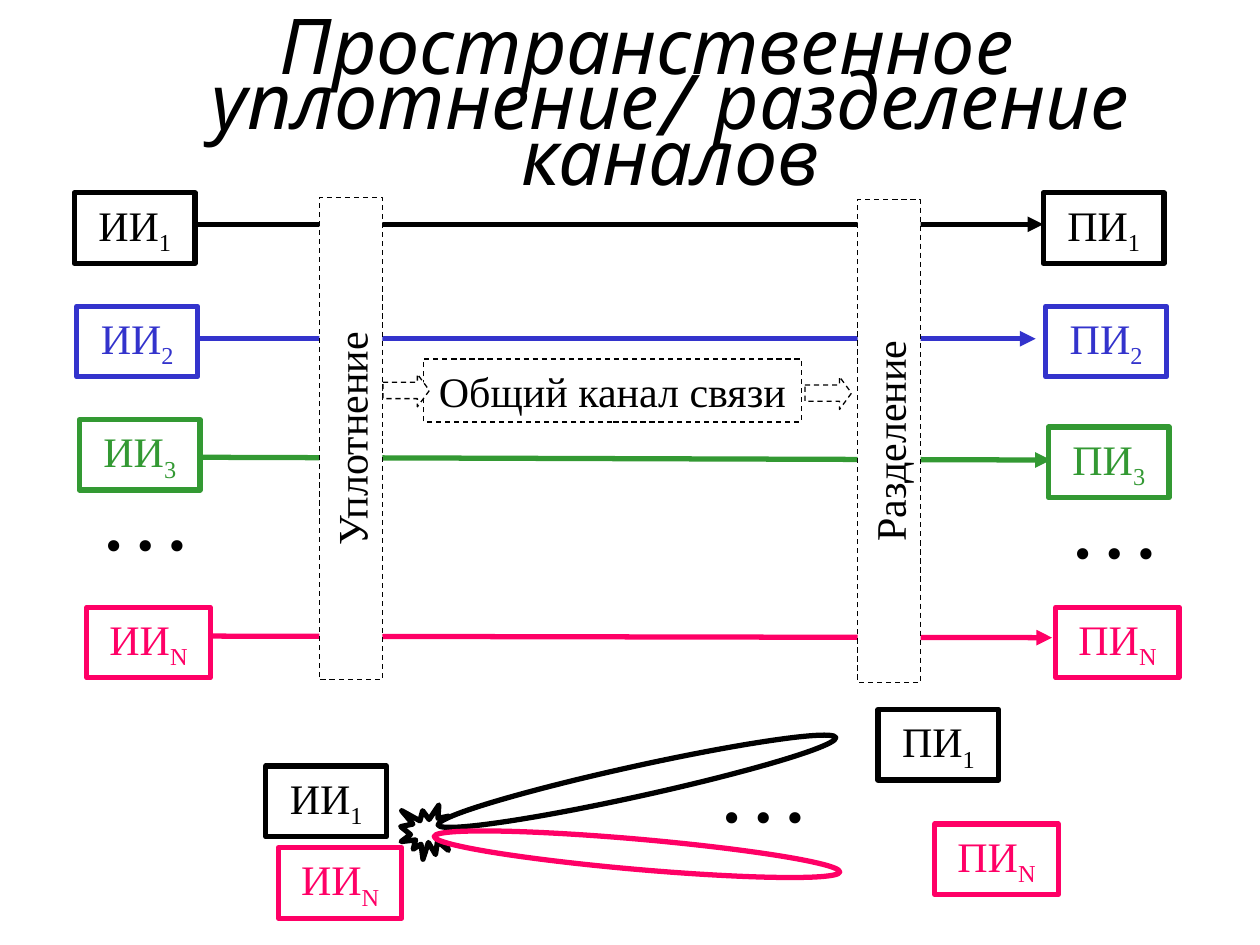
from dataclasses import dataclass

from lxml import etree
from pptx import Presentation
from pptx import util as u
from pptx.dml.color import RGBColor
from pptx.enum import dml, shapes, text
from pptx.oxml.ns import qn


@dataclass(frozen=True)
class Theme:
    black: str = "000000"
    blue: str = "3333CC"
    green: str = "339933"
    pink: str = "FF0066"
    white: str = "FFFFFF"
    title_font: str = "Cabin"
    body_font: str = "Times New Roman"
    title_size: float = 44
    body_size: float = 24
    dots_size: float = 54
    thick: float = 3
    thin: float = 0.75


class ChannelSlide:
    """Draws the parts of a channel diagram on one slide in one theme."""

    def __init__(self, slide, theme):
        self.items = slide.shapes
        self.theme = theme

    def figure(self, preset, x, y, width, height, color=None, fill=None, dashed=False, angle=0):
        figure = self.items.add_shape(preset, u.Pt(x), u.Pt(y), u.Pt(width), u.Pt(height))
        figure.shadow.inherit = False
        figure.rotation = angle
        if fill:
            figure.fill.solid()
            figure.fill.fore_color.rgb = RGBColor.from_string(fill)
        else:
            figure.fill.background()
        figure.line.color.rgb = RGBColor.from_string(color or self.theme.black)
        figure.line.width = u.Pt(self.theme.thin if dashed else self.theme.thick)
        if dashed:
            figure.line.dash_style = dml.MSO_LINE.DASH
        return figure

    def label(self, holder, wording, size, color=None, font=None, subscript=""):
        frame = holder.text_frame
        frame.word_wrap = True
        frame.vertical_anchor = text.MSO_ANCHOR.TOP
        paragraph = frame.paragraphs[0]
        paragraph.text = wording
        paragraph.alignment = text.PP_ALIGN.CENTER
        if subscript:
            index = paragraph.add_run()
            index.text = subscript
            index._r.get_or_add_rPr().set("baseline", "-25000")
        for run in paragraph.runs:
            run.font.size = u.Pt(size)
            run.font.name = font or self.theme.body_font
            run.font.color.rgb = RGBColor.from_string(color or self.theme.black)
        return paragraph

    def title(self, wording, x, y, width, height):
        holder = self.items.add_textbox(u.Pt(x), u.Pt(y), u.Pt(width), u.Pt(height))
        paragraph = self.label(holder, wording, self.theme.title_size, font=self.theme.title_font)
        paragraph.line_spacing = 0.6
        paragraph.runs[0].font.italic = True
        properties = paragraph._p.get_or_add_pPr()
        properties.set("marL", str(u.Pt(27)))
        properties.set("indent", str(u.Pt(-27)))

    def terminal(self, name, number, x, y, color):
        width = 70.5 if number == "N" else 69
        box = self.figure(shapes.MSO_SHAPE.RECTANGLE, x, y, width, 40.3, color)
        self.label(box, name, self.theme.body_size, color, subscript=number)

    def stage(self, wording, x, y, width, angle=0):
        box = self.figure(shapes.MSO_SHAPE.RECTANGLE, x, y, width, 36,
                          fill=self.theme.white, dashed=True, angle=angle)
        self.label(box, wording, self.theme.body_size)

    def dots(self, x, y):
        holder = self.items.add_textbox(u.Pt(x), u.Pt(y), u.Pt(127.4), u.Pt(72))
        self.label(holder, "…", self.theme.dots_size)

    def channel(self, x1, y1, x2, y2, color):
        channel = self.items.add_connector(
            shapes.MSO_CONNECTOR.STRAIGHT, u.Pt(x1), u.Pt(y1), u.Pt(x2), u.Pt(y2))
        channel.line.color.rgb = RGBColor.from_string(color)
        channel.line.width = u.Pt(self.theme.thick)
        properties = channel._element.spPr
        etree.SubElement(properties.find(qn("a:ln")), qn("a:tailEnd"), type="triangle")
        etree.SubElement(properties, qn("a:effectLst"))

    def flow(self, x, y):
        arrow = self.figure(shapes.MSO_SHAPE.RIGHT_ARROW, x, y, 26.6, 18.7,
                            fill=self.theme.white, dashed=True)
        arrow.adjustments[1] = 0.366

    def beam(self, y, angle, color):
        self.figure(shapes.MSO_SHAPE.OVAL, 247.7, y, 232.6, 17.3, color, self.theme.white, angle=angle)


def main():
    theme = Theme()
    deck = Presentation()
    deck.slide_width, deck.slide_height = u.Pt(720), u.Pt(540)
    diagram = ChannelSlide(deck.slides.add_slide(deck.slide_layouts[6]), theme)

    diagram.figure(shapes.MSO_SHAPE.EXPLOSION1, 229, 460, 32.4, 31, fill=theme.white)
    diagram.title("Пространственное уплотнение/ разделение каналов", 57.6, 13.7, 624.2, 41.8)

    receiver_shift = 553.7
    routes = [
        ("1", theme.black, 42.5, 110.2, 110.2, (111.6, 128.2, 596.2, 128.2)),
        ("2", theme.blue, 43.9, 175, 175, (111.6, 193.6, 591.8, 193.6)),
        ("3", theme.green, 45.4, 239.8, 244.1, (113, 261.3, 600.5, 262.9)),
        ("N", theme.pink, 49.6, 347, 347, (121, 363.5, 601.2, 364.4)),
    ]
    for number, color, x, source_y, receiver_y, _ in routes:
        diagram.terminal("ИИ", number, x, source_y, color)
        diagram.terminal("ПИ", number, x + receiver_shift, receiver_y, color)
    diagram.dots(19.4, 257)
    diagram.dots(19.4 + receiver_shift, 261.4)

    diagram.stage("Общий канал связи", 242, 205.2, 216)
    for _, color, *_, ends in routes:
        diagram.channel(*ends, color)
    diagram.stage("Уплотнение", 62.6, 232.6, 275.8, angle=270)
    diagram.stage("Разделение", 370.2, 234, 275.8, angle=270)
    diagram.flow(218.8, 213.8)
    diagram.flow(460, 215.3)

    diagram.beam(437.8, 347.6, theme.black)
    diagram.beam(479.5, 5, theme.pink)
    diagram.dots(373, 412.6)
    for name, number, x, y, color in [
        ("ПИ", "1", 501.8, 405.4, theme.black),
        ("ПИ", "N", 534.2, 470.9, theme.pink),
        ("ИИ", "1", 151.9, 437.8, theme.black),
        ("ИИ", "N", 159.1, 484.4, theme.pink),
    ]:
        diagram.terminal(name, number, x, y, color)

    deck.save("out.pptx")


if __name__ == "__main__":
    main()
